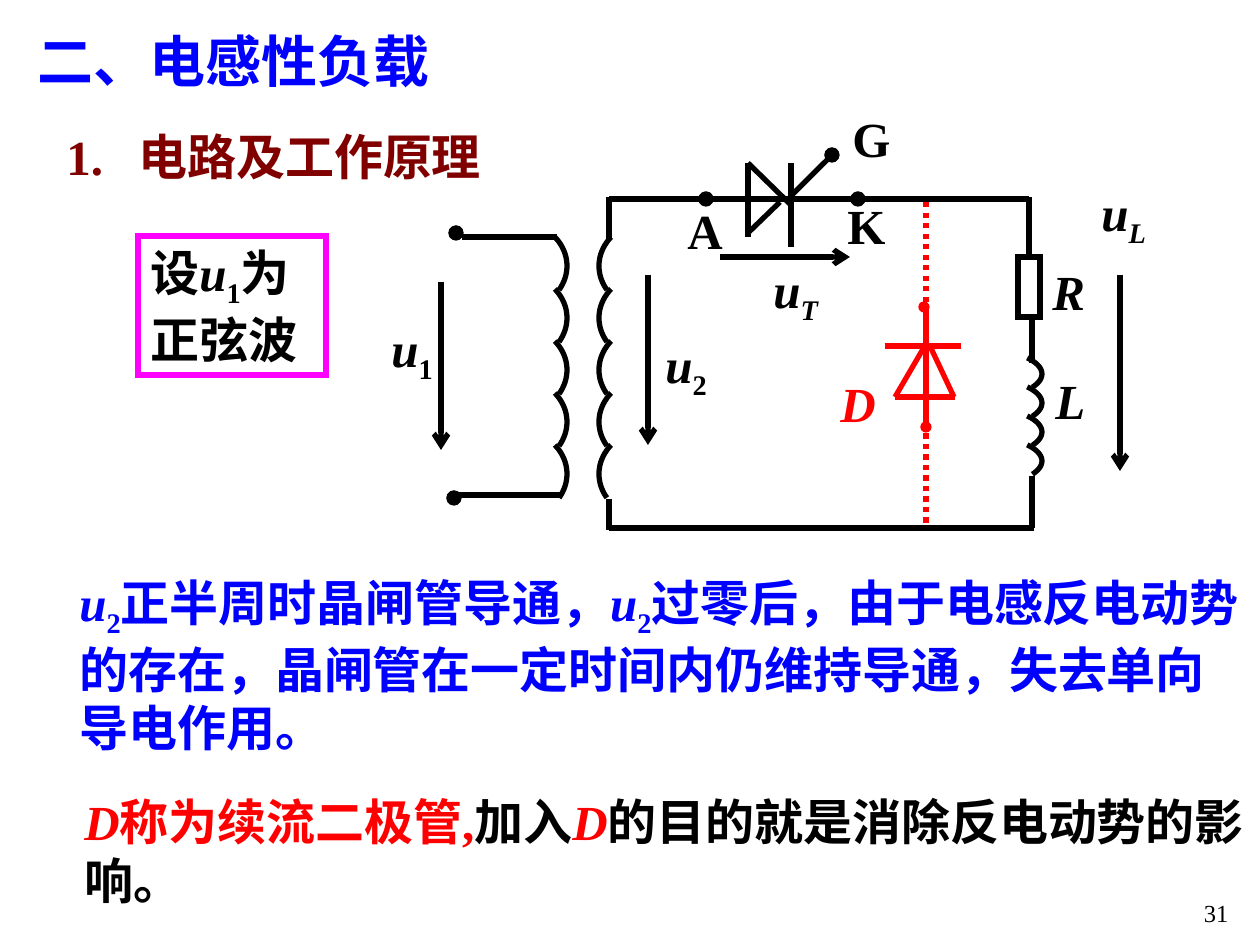
from dataclasses import dataclass
from math import cos, radians, sin

from pptx import Presentation
from pptx.dml.color import RGBColor
from pptx.enum.dml import MSO_LINE
from pptx.enum.shapes import MSO_CONNECTOR, MSO_SHAPE
from pptx.enum.text import MSO_ANCHOR, MSO_AUTO_SIZE, PP_ALIGN
from pptx.oxml.ns import qn
from pptx.oxml.xmlchemy import OxmlElement
from pptx.util import Emu, Pt

EMU_PER_PX = 914400 / 126
FONT = "Times New Roman"
BLACK = RGBColor(0, 0, 0)
RED = RGBColor(255, 0, 0)
BLUE = RGBColor(0, 0, 255)
MAROON = RGBColor(128, 0, 0)
MAGENTA = RGBColor(255, 0, 255)
STRAIGHT = MSO_CONNECTOR.STRAIGHT
ELLIPSE, RECTANGLE = MSO_SHAPE.OVAL, MSO_SHAPE.RECTANGLE
DOTTED = MSO_LINE.ROUND_DOT
LEFT, CENTER, RIGHT = PP_ALIGN.LEFT, PP_ALIGN.CENTER, PP_ALIGN.RIGHT
TOP = MSO_ANCHOR.TOP
FIT_SHAPE, NO_FIT = MSO_AUTO_SIZE.SHAPE_TO_FIT_TEXT, MSO_AUTO_SIZE.NONE
LINE_WIDTH = 3
DOT_SIZE = 10
ARC_START, ARC_END, ARC_STEPS = -40, 32, 18


@dataclass(frozen=True)
class Box:
    left: int
    top: int
    width: int
    height: int


@dataclass(frozen=True)
class Piece:
    text: str
    color: RGBColor = BLACK
    italic: bool = False
    subscript: bool = False


@dataclass(frozen=True)
class Label:
    box: Box
    pieces: tuple[Piece, ...]
    align: PP_ALIGN = LEFT


@dataclass(frozen=True)
class Coil:
    """A column of equal arcs; a negative radius_x bulges to the left."""
    center_x: int
    first_y: int
    step: int
    turns: int
    radius_x: int
    radius_y: int


def px(value: float) -> Emu:
    return Emu(round(value * EMU_PER_PX))


def place(box: Box) -> tuple[Emu, ...]:
    return px(box.left), px(box.top), px(box.width), px(box.height)


def variable(name: str, index: str, color: RGBColor = BLACK, italic_index: bool = False) -> tuple[Piece, ...]:
    return Piece(name, color, True), Piece(index, color, italic_index, True)


def write(shape, paragraphs, size: int = 28, align=LEFT, wrap: bool = False, bold: bool = True) -> None:
    frame = shape.text_frame
    frame.word_wrap = wrap
    frame.vertical_anchor = TOP
    frame.auto_size = FIT_SHAPE if bold else NO_FIT
    for number, pieces in enumerate(paragraphs):
        paragraph = frame.add_paragraph() if number else frame.paragraphs[0]
        paragraph.alignment = align
        for piece in pieces:
            run = paragraph.add_run()
            run.text = piece.text
            font = run.font
            font.name, font.size, font.bold, font.italic = FONT, Pt(size), bold, piece.italic
            font.color.rgb = piece.color
            if piece.subscript:
                run._r.get_or_add_rPr().set("baseline", "-25000")


def add_text(shapes, box: Box, paragraphs, **options):
    shape = shapes.add_textbox(*place(box))
    write(shape, paragraphs, **options)
    return shape


def add_tab_stop(paragraph, position: int) -> None:
    tabs = OxmlElement("a:tabLst")
    tab = OxmlElement("a:tab")
    tab.set("pos", str(px(position)))
    tab.set("algn", "l")
    tabs.append(tab)
    paragraph._p.get_or_add_pPr().append(tabs)


def add_line(shapes, ends: tuple[int, int, int, int], color: RGBColor = BLACK, arrow: bool = False):
    line = shapes.add_connector(STRAIGHT, *(px(value) for value in ends))
    line.line.color.rgb = color
    line.line.width = Pt(LINE_WIDTH)
    properties = line._element.spPr
    if arrow:
        tail = OxmlElement("a:tailEnd")
        tail.set("type", "arrow")
        properties.find(qn("a:ln")).append(tail)
    properties.append(OxmlElement("a:effectLst"))
    return line


def add_outline(shapes, kind, box: Box, color: RGBColor):
    """Add an unfilled shape with sharp corners."""
    shape = shapes.add_shape(kind, *place(box))
    shape.shadow.inherit = False
    shape.fill.background()
    shape.line.color.rgb = color
    shape.line.width = Pt(LINE_WIDTH)
    miter = OxmlElement("a:miter")
    miter.set("lim", "800000")
    shape._element.spPr.find(qn("a:ln")).append(miter)
    return shape


def add_dot(shapes, left: int, top: int, color: RGBColor, width: float = LINE_WIDTH) -> None:
    dot = add_outline(shapes, ELLIPSE, Box(left, top, DOT_SIZE, DOT_SIZE), color)
    dot.fill.solid()
    dot.fill.fore_color.rgb = color
    dot.line.width = Pt(width)


def add_coil(shapes, coil: Coil) -> None:
    for turn in range(coil.turns):
        center_y = coil.first_y + turn * coil.step
        angles = [radians(ARC_START + (ARC_END - ARC_START) * step / ARC_STEPS) for step in range(ARC_STEPS + 1)]
        points = [(px(coil.center_x + coil.radius_x * cos(angle)), px(center_y + coil.radius_y * sin(angle)))
                  for angle in angles]
        builder = shapes.build_freeform(*points[0])
        builder.add_line_segments(points[1:], close=False)
        arc = builder.convert_to_shape()
        arc.shadow.inherit = False
        arc.fill.background()
        arc.line.color.rgb = BLACK
        arc.line.width = Pt(LINE_WIDTH)


DIODE_LINES = [(885, 346, 961, 346), (926, 344, 895, 397), (895, 397, 955, 397),
               (930, 346, 954, 397), (926, 310, 926, 426)]
DIODE_DOTS = [(921, 422), (919, 302)]
WIRES = [(609, 197, 609, 239), (701, 199, 609, 199), (706, 199, 877, 199), (863, 199, 1029, 199),
         (1032, 363, 1032, 318), (1032, 476, 1032, 528), (609, 528, 1034, 528), (609, 499, 609, 530),
         (462, 237, 557, 237), (456, 495, 561, 495)]
THYRISTOR_LINES = [(748, 163, 791, 205), (748, 163, 748, 237), (791, 163, 791, 247),
                   (748, 233, 780, 202), (790, 197, 835, 152)]
VOLTAGE_ARROWS = [(1120, 275, 1120, 471), (441, 282, 441, 450), (648, 275, 648, 445), (720, 257, 850, 257)]
TERMINALS = [(701, 194), (853, 194), (827, 150), (449, 493), (451, 228)]
COILS = [Coil(515, 266, 52, 5, 52, 45), Coil(651, 266, 52, 5, -52, 45), Coil(979, 374, 29, 4, 63, 25)]
LABELS = [
    Label(Box(840, 102, 66, 72), (Piece("G"),)),
    Label(Box(675, 194, 60, 72), (Piece("A"),), CENTER),
    Label(Box(835, 189, 66, 72), (Piece("K"),)),
    Label(Box(1040, 255, 60, 72), (Piece("R", italic=True),)),
    Label(Box(1043, 364, 58, 72), (Piece("L", italic=True),)),
    Label(Box(1089, 176, 76, 79), variable("u", "L", italic_index=True)),
    Label(Box(761, 253, 76, 79), variable("u", "T", italic_index=True)),
    Label(Box(379, 312, 72, 79), variable("u", "1")),
    Label(Box(653, 328, 72, 79), variable("u", "2")),
]


def draw_diode(shapes) -> None:
    add_line(shapes, (926, 202, 926, 530), RED).line.dash_style = DOTTED
    for ends in DIODE_LINES:
        add_line(shapes, ends, RED)
    for left, top in DIODE_DOTS:
        add_dot(shapes, left, top, RED, 0.75)
    add_text(shapes, Box(828, 367, 63, 72), [[Piece("D", RED, True)]])


def draw_circuit(shapes) -> None:
    resistor = add_outline(shapes, RECTANGLE, Box(1018, 257, 22, 60), BLACK)
    add_line(shapes, (1029, 197, 1029, 257)).end_connect(resistor, 0)
    for ends in WIRES + THYRISTOR_LINES:
        add_line(shapes, ends)
    for coil in COILS:
        add_coil(shapes, coil)
    for ends in VOLTAGE_ARROWS:
        add_line(shapes, ends, arrow=True)
    for left, top in TERMINALS:
        add_dot(shapes, left, top, BLACK)
    for label in LABELS:
        add_text(shapes, label.box, [label.pieces], align=label.align)


def main() -> None:
    presentation = Presentation()
    presentation.slide_width, presentation.slide_height = px(1260), px(945)
    shapes = presentation.slides.add_slide(presentation.slide_layouts[6]).shapes
    add_text(shapes, Box(25, 20, 430, 81), [[Piece("二、电感性负载", BLUE)]], size=32)
    heading = add_text(shapes, Box(54, 120, 446, 72), [[Piece("1.\t电路及工作原理", MAROON)]])
    add_tab_stop(heading.text_frame.paragraphs[0], 72)
    assumption = add_outline(shapes, RECTANGLE, Box(138, 236, 188, 139), MAGENTA)
    write(assumption, [[Piece("设"), *variable("u", "1"), Piece("为")], [Piece("正弦波")]])
    draw_diode(shapes.add_group_shape().shapes)
    u2 = variable("u", "2", BLUE)
    add_text(shapes, Box(67, 566, 1193, 198), [[
        *u2, Piece("正半周时晶闸管导通，", BLUE), *u2,
        Piece("过零后，由于电感反电动势的存在，晶闸管在一定时间内仍维持导通，失去单向导电作用。", BLUE)]], wrap=True)
    diode = Piece("D", RED, True)
    add_text(shapes, Box(72, 785, 1188, 131), [[
        diode, Piece("称为续流二极管,", RED), Piece("加入"), diode,
        Piece("的目的就是消除反电动势的影响。")]], wrap=True)
    draw_circuit(shapes.add_group_shape().shapes)
    add_text(shapes, Box(979, 892, 262, 53), [[Piece("31")]], size=14, align=RIGHT, wrap=True, bold=False)
    presentation.save("out.pptx")


if __name__ == "__main__":
    main()
